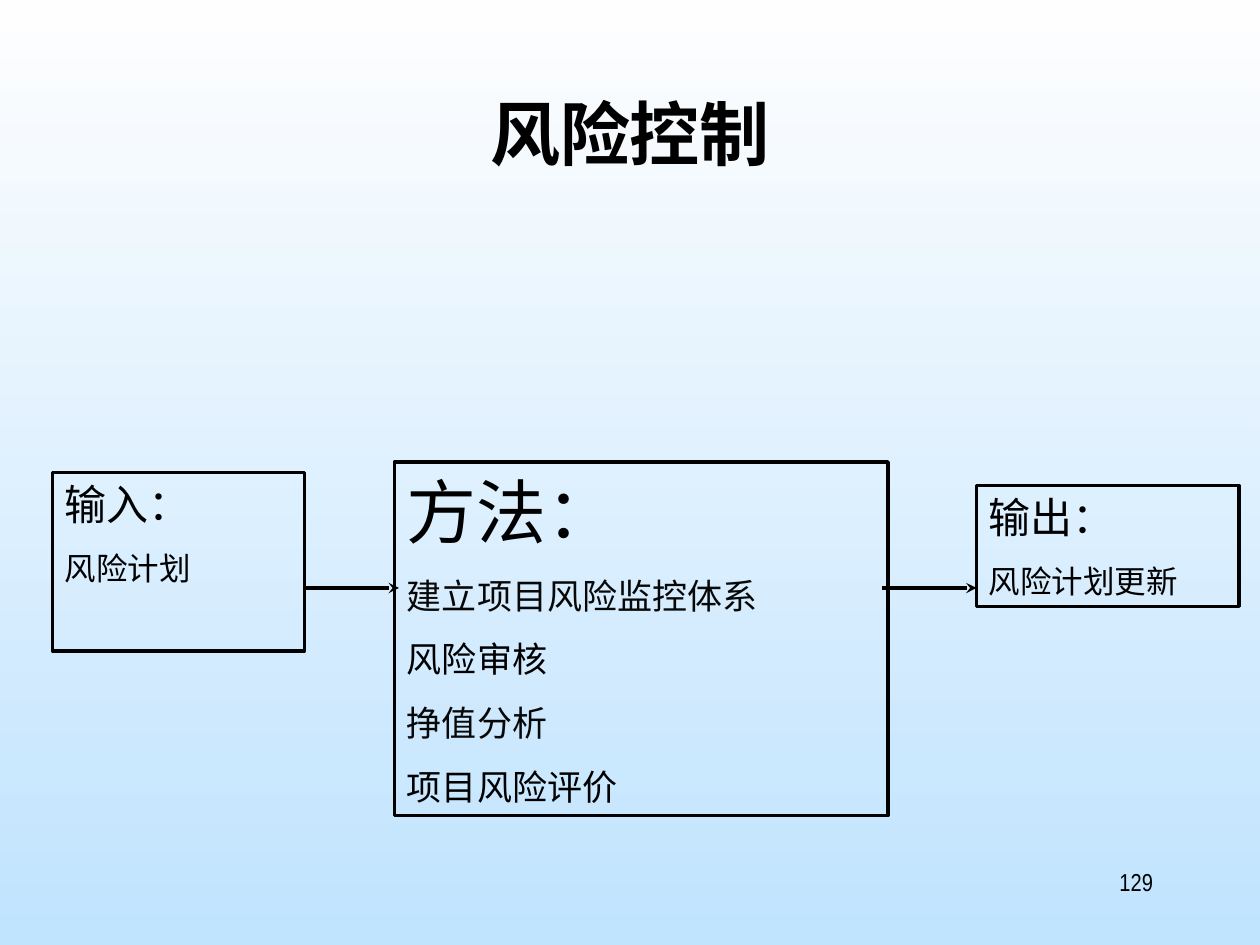
from lxml import etree
from pptx import Presentation
from pptx.dml.color import RGBColor
from pptx.enum.shapes import MSO_CONNECTOR, MSO_SHAPE
from pptx.enum.text import MSO_ANCHOR, PP_ALIGN
from pptx.oxml.ns import qn
from pptx.util import Pt

RECTANGLE = MSO_SHAPE.RECTANGLE
STRAIGHT = MSO_CONNECTOR.STRAIGHT
TOP = MSO_ANCHOR.TOP
LEFT, CENTER, RIGHT = PP_ALIGN.LEFT, PP_ALIGN.CENTER, PP_ALIGN.RIGHT
LATIN, CJK = "Arial Narrow", "Noto Sans CJK SC"
BLACK, SOFT_BLACK = "000000", "080808"


def color(value):
    return RGBColor.from_string(value)


def write(paragraph, text, size, font=LATIN, ink=BLACK, bold=False, align=LEFT, before=0):
    paragraph.alignment = align
    paragraph.space_before = Pt(before)
    run = paragraph.add_run()
    run.text = text
    run.font.size = Pt(size)
    run.font.bold = bold
    run.font.name = font
    run.font.color.rgb = color(ink)
    east_asian = etree.SubElement(run.font._element, qn("a:ea"))
    east_asian.set("typeface", CJK)


prs = Presentation()
prs.slide_width, prs.slide_height = Pt(720), Pt(540)
slide = prs.slides.add_slide(prs.slide_layouts[5])

# Background: white fading down to light blue
backdrop = slide.background.fill
backdrop.gradient()
backdrop.gradient_angle = 270
for stop, (position, shade) in zip(backdrop.gradient_stops, [(0, "FEFEFE"), (1, "C0E3FE")]):
    stop.position = position
    stop.color.rgb = color(shade)

# Title
title = slide.shapes.title
title.left, title.top, title.width, title.height = Pt(54), Pt(48), Pt(612), Pt(90)
title.text_frame.vertical_anchor = TOP
write(title.text_frame.paragraphs[0], "风险控制", 40, font=CJK, bold=True, align=CENTER)

# Process boxes: place, heading and its size, item size and spacing, items
stages = [
    ((225.5, 264, 282, 202), "方法：", 40, 20, 12.5,
     [("建立项目风险监控体系", SOFT_BLACK), ("风险审核", BLACK),
      ("挣值分析", SOFT_BLACK), ("项目风险评价", BLACK)]),
    ((30, 270, 144, 102), "输入：", 24, 18, 11.2, [("风险计划", BLACK)]),
    ((558, 277.5, 150, 69), "输出：", 24, 18, 11.2, [("风险计划更新", BLACK)]),
]
for place, heading, heading_size, item_size, gap, items in stages:
    stage = slide.shapes.add_shape(RECTANGLE, *map(Pt, place))
    stage.shadow.inherit = False
    stage.fill.background()
    stage.line.color.rgb = color(BLACK)
    stage.line.width = Pt(2)
    frame = stage.text_frame
    frame.word_wrap = True
    frame.vertical_anchor = TOP
    write(frame.paragraphs[0], heading, heading_size)
    for item, ink in items:
        write(frame.add_paragraph(), item, item_size, ink=ink, before=gap)

# Flow arrows
flow_y, flow_length = 336, 54
for start in (174, 504):
    flow = slide.shapes.add_connector(
        STRAIGHT, Pt(start), Pt(flow_y), Pt(start + flow_length), Pt(flow_y))
    flow.line.color.rgb = color(BLACK)
    flow.line.width = Pt(2)
    etree.SubElement(flow.line._get_or_add_ln(), qn("a:tailEnd")).set("type", "stealth")
    etree.SubElement(flow._element.spPr, qn("a:effectLst"))

# Page number
page_number = slide.shapes.add_textbox(Pt(516), Pt(492), Pt(150), Pt(36))
page_number.text_frame.word_wrap = True
write(page_number.text_frame.paragraphs[0], "129", 14, align=RIGHT)

prs.save("out.pptx")
